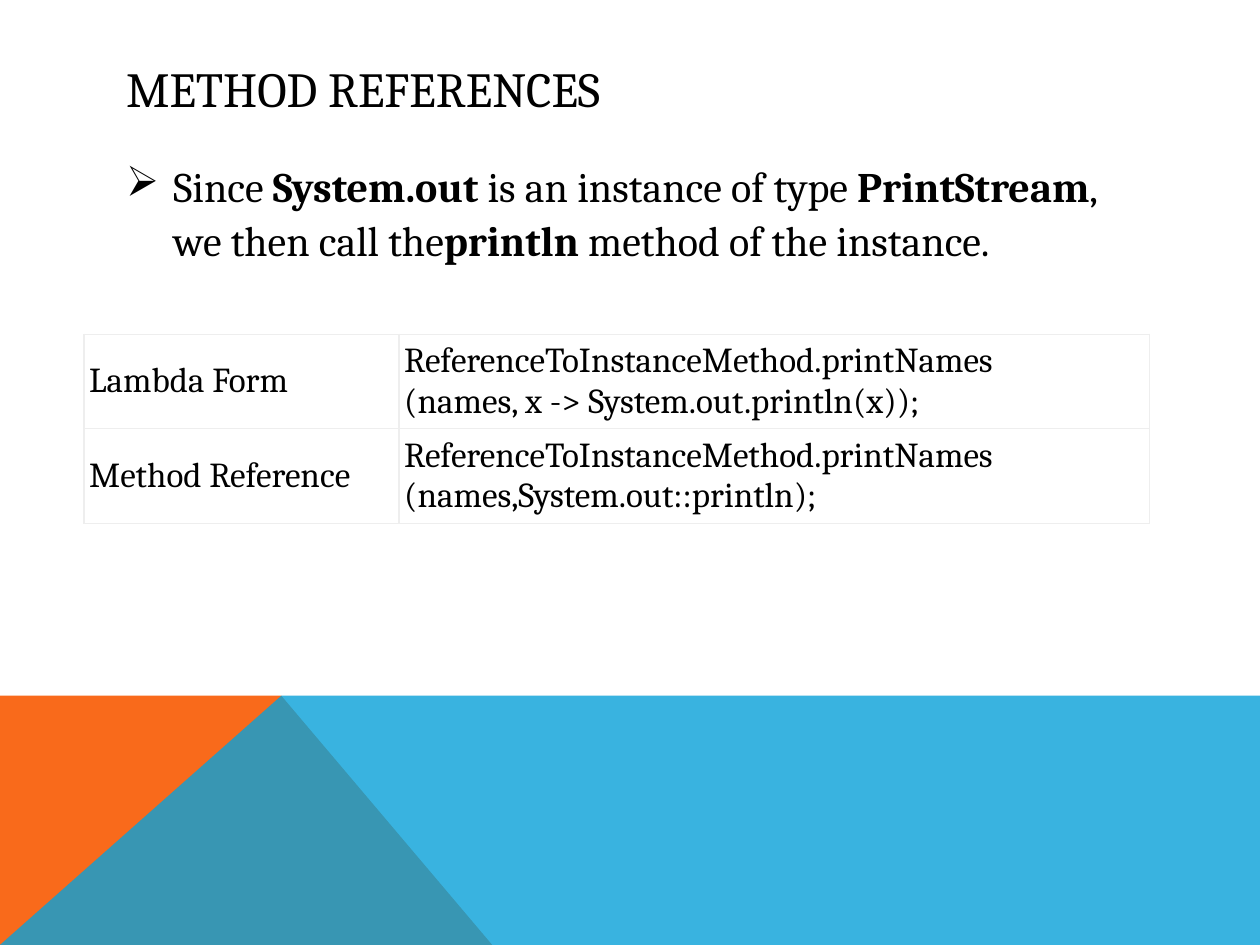
from lxml import etree
from pptx import Presentation
from pptx.dml.color import RGBColor
from pptx.enum.text import MSO_ANCHOR
from pptx.oxml.ns import qn
from pptx.util import Pt

MIDDLE = MSO_ANCHOR.MIDDLE
FONT = "Cambria"
COLORS = {"text": "000000", "orange": "F96A1B", "blue": "08A1D9", "border": "EEEEEE"}


def rgb(name):
    return RGBColor.from_string(COLORS[name])


def style(p, size):
    p.font.size = Pt(size)
    p.font.name = FONT
    p.font.color.rgb = rgb("text")


def add_text_box(slide, x, y, w, h):
    tf = slide.shapes.add_textbox(Pt(x), Pt(y), Pt(w), Pt(h)).text_frame
    tf.word_wrap = True
    return tf


def add_panel(slide, points, color, opacity=100):
    builder = slide.shapes.build_freeform(Pt(points[0][0]), Pt(points[0][1]))
    builder.add_line_segments([(Pt(x), Pt(y)) for x, y in points[1:]], close=True)
    s = builder.convert_to_shape()
    s.shadow.inherit = False
    s.fill.solid()
    s.fill.fore_color.rgb = rgb(color)
    s.line.fill.background()
    if opacity < 100:
        clr = s.fill._xPr.find(qn("a:solidFill"))[0]
        etree.SubElement(clr, qn("a:alpha"), val=str(opacity * 1000))


def add_footer(slide, x, y, w, h):
    bottom, peak = y + h, x + 160.8
    add_panel(slide, [(x, bottom), (x, y), (peak, y), (x + 281.3, bottom)], "orange")
    add_panel(slide, [(x, bottom), (peak, y), (x + w, y), (x + w, bottom)], "blue", 80)


def add_title(slide, x, y, w, h):
    tf = add_text_box(slide, x, y, w, h)
    tf.vertical_anchor = MIDDLE
    p = tf.paragraphs[0]
    p.text = "METHOD REFERENCES"
    style(p, 28)


def add_body(slide, x, y, w, h):
    p = add_text_box(slide, x, y, w, h).paragraphs[0]
    style(p, 24)
    p.space_before = Pt(8)
    p.line_spacing = 1.07
    pPr = p._p.get_or_add_pPr()
    pPr.set("marL", str(Pt(27)))
    pPr.set("indent", str(Pt(-27)))
    bullet = etree.Element(qn("a:buChar"), char="➢")
    pPr.find(qn("a:defRPr")).addprevious(bullet)
    runs = [
        ("Since ", False),
        ("System.out", True),
        (" is an instance of type ", False),
        ("PrintStream", True),
        (", we then call the", False),
        ("println", True),
        (" method of the instance.", False),
    ]
    for text, bold in runs:
        r = p.add_run()
        r.text = text
        r.font.bold = bold


def add_borders(cell):
    tcPr = cell._tc.get_or_add_tcPr()
    for i, side in enumerate(("lnL", "lnR", "lnT", "lnB")):
        ln = etree.Element(qn(f"a:{side}"), w=str(Pt(0.75)))
        fill = etree.SubElement(ln, qn("a:solidFill"))
        etree.SubElement(fill, qn("a:srgbClr"), val=COLORS["border"])
        tcPr.insert(i, ln)


def add_forms_table(slide, x, y, w, h):
    rows = [
        ("Lambda Form",
         "ReferenceToInstanceMethod.printNames\n(names, x -> System.out.println(x));"),
        ("Method Reference",
         "ReferenceToInstanceMethod.printNames (names,System.out::println);"),
    ]
    table = slide.shapes.add_table(2, 2, Pt(x), Pt(y), Pt(w), Pt(h)).table
    table.first_row = table.horz_banding = False
    table.columns[0].width = Pt(180)
    table.columns[1].width = Pt(w - 180)
    for i, row in enumerate(rows):
        for j, text in enumerate(row):
            cell = table.cell(i, j)
            cell.text = text
            cell.vertical_anchor = MIDDLE
            cell.margin_left = cell.margin_right = Pt(3)
            cell.margin_top = cell.margin_bottom = Pt(3)
            cell.fill.background()
            add_borders(cell)
            for p in cell.text_frame.paragraphs:
                style(p, 20)


def main():
    prs = Presentation()
    prs.slide_width, prs.slide_height = Pt(720), Pt(540)
    slide = prs.slides.add_slide(prs.slide_layouts[6])
    add_footer(slide, 0, 397.6, 720, 142.4)
    add_title(slide, 65, 29, 592, 43)
    add_body(slide, 65, 86.4, 592, 281.5)
    add_forms_table(slide, 48, 191, 609, 96.5)
    prs.save("out.pptx")


if __name__ == "__main__":
    main()
